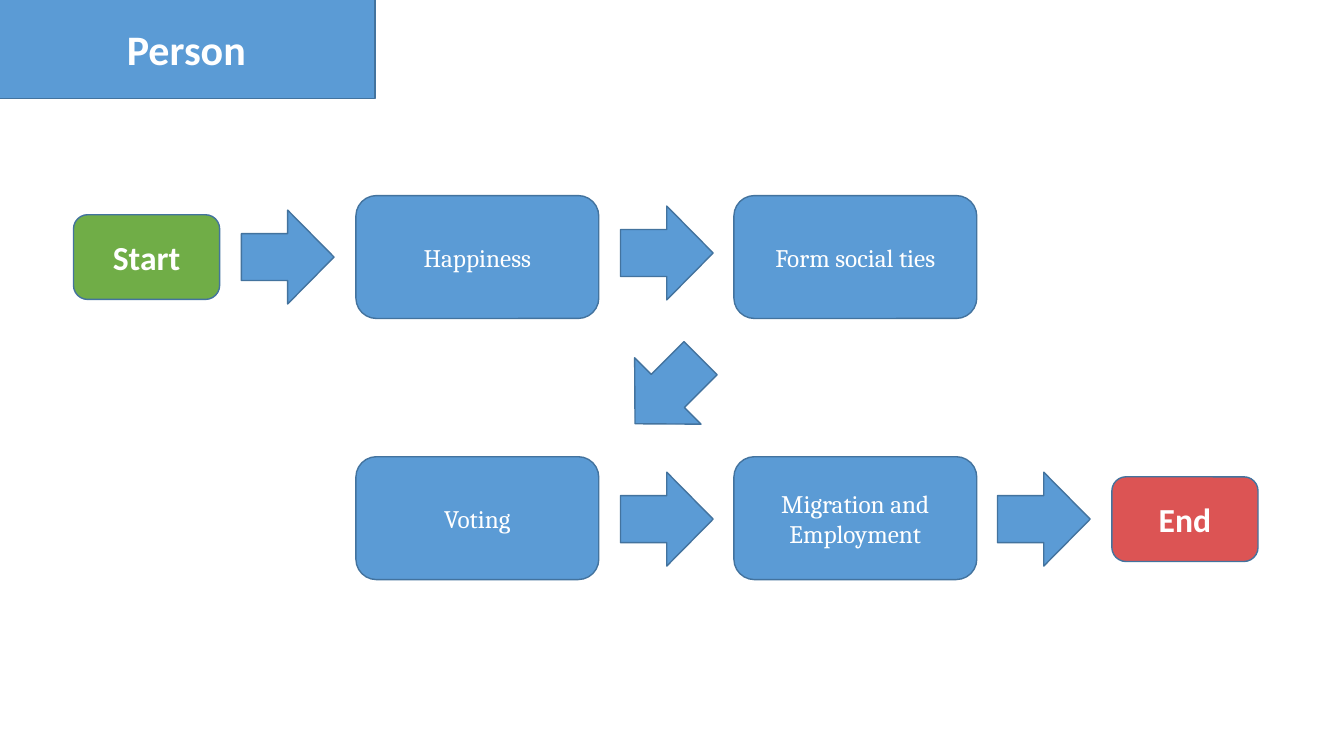
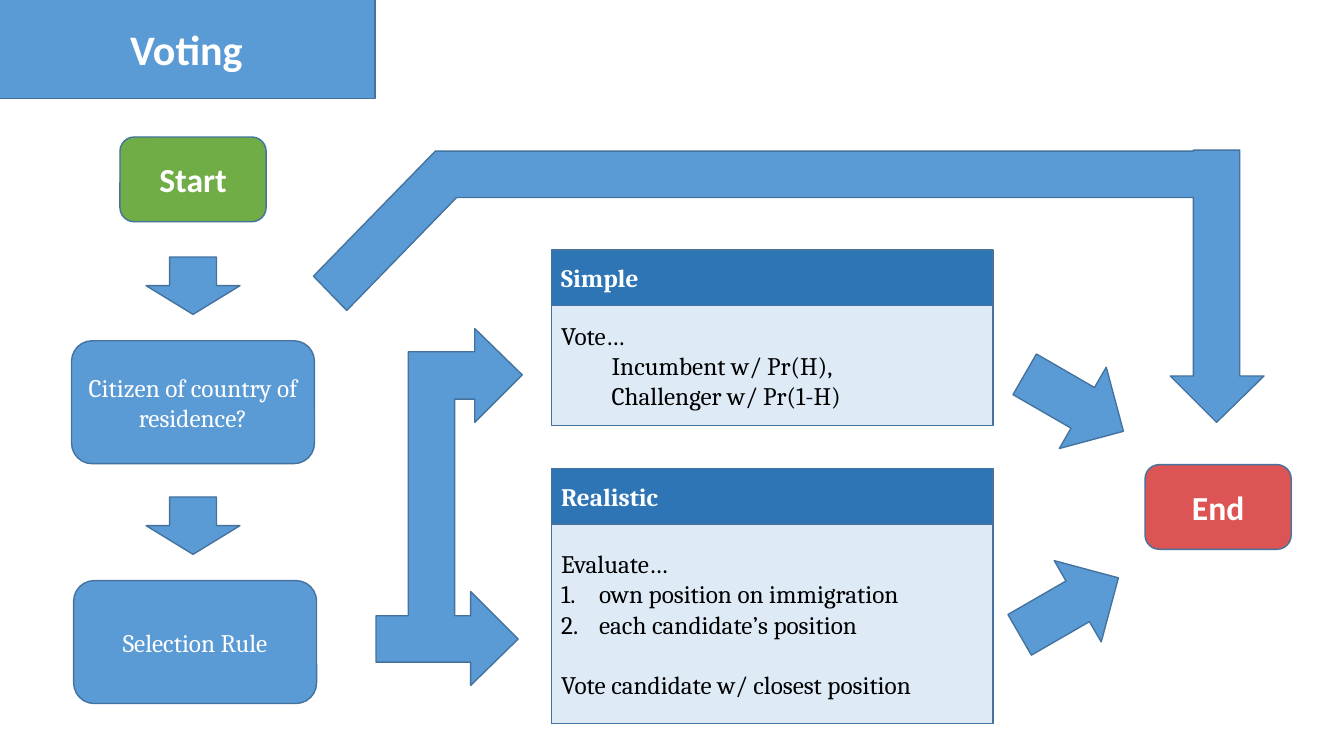
from dataclasses import dataclass

from lxml.etree import SubElement
from pptx import Presentation
from pptx.dml.color import RGBColor
from pptx.enum.shapes import MSO_SHAPE as Geo
from pptx.enum.text import MSO_ANCHOR as Anchor, PP_ALIGN as Align
from pptx.oxml.ns import qn
from pptx.util import Pt

# Shared colours, text formats and sizes (points)
BLUE, EDGE, GREEN, RED = "5B9BD5", "43739E", "70AD47", "DC5454"
HEAD, PALE, WHITE, BLACK = "2E75B6", "DEEBF7", "FFFFFF", "000000"

TITLE_FONT = {"name": "Calibri", "size": Pt(30), "bold": True}
END_FONT = {"name": "Calibri", "size": Pt(24), "bold": True}
BODY_FONT = {"name": "Cambria", "size": Pt(18), "bold": False}
HEAD_FONT = BODY_FONT | {"bold": True}

STEP_W, STEP_H = 173.5, 87.8
END_W, END_H = 104.4, 60.5
ARROW_W, ARROW_H = 67, 66.2
PANEL_X, PANEL_W, PANEL_HEAD_H = 393.8, 315.4, 39.6
LIST_INDENT, LINE_H = 27, 21.6


@dataclass
class Para:
    text: str
    level: int = 0
    left: float = 0
    numbered: bool = False
    before: float = 0


@dataclass
class Box:
    x: float
    y: float
    w: float
    h: float
    paras: list[Para]
    font: dict
    fill: str = BLUE
    color: str = WHITE
    geo: Geo = Geo.ROUNDED_RECTANGLE
    align: Align = Align.CENTER


@dataclass
class Arrow:
    x: float
    y: float
    h: float = ARROW_H
    turn: float = 0


@dataclass
class Panel:
    y: float
    body_h: float
    title: str
    paras: list[Para]


# Drawing functions
def rgb(value: str) -> RGBColor:
    return RGBColor.from_string(value)


def style(s, fill: str = BLUE) -> None:
    s.shadow.inherit = False
    s.fill.solid()
    s.fill.fore_color.rgb = rgb(fill)
    s.line.color.rgb = rgb(EDGE)
    s.line.width = Pt(1)


def set_para(p, para: Para, box: Box) -> None:
    p.alignment, p.level = box.align, para.level
    p.space_before = Pt(para.before)
    pPr = p._p.get_or_add_pPr()
    pPr.set("marL", str(Pt(para.left)))
    pPr.set("indent", str(Pt(-para.left if para.numbered else 0)))
    if para.numbered:
        SubElement(pPr, qn("a:buFont"), typeface="+mj-lt")
        SubElement(pPr, qn("a:buAutoNum"), type="arabicPeriod")
    r = p.add_run()
    r.text = para.text
    for name, value in box.font.items():
        setattr(r.font, name, value)
    r.font.color.rgb = rgb(box.color)


def draw_box(shapes, box: Box) -> None:
    s = shapes.add_shape(box.geo, Pt(box.x), Pt(box.y), Pt(box.w), Pt(box.h))
    style(s, box.fill)
    tf = s.text_frame
    tf.word_wrap, tf.vertical_anchor = True, Anchor.MIDDLE
    for i, para in enumerate(box.paras):
        set_para(tf.add_paragraph() if i else tf.paragraphs[0], para, box)


def draw_arrow(shapes, arrow: Arrow) -> None:
    s = shapes.add_shape(Geo.DOWN_ARROW, Pt(arrow.x), Pt(arrow.y),
                         Pt(ARROW_W), Pt(arrow.h))
    style(s)
    s.rotation = arrow.turn


def draw_panel(shapes, panel: Panel) -> None:
    group = shapes.add_group_shape().shapes
    shared = {"geo": Geo.RECTANGLE, "align": Align.LEFT}
    draw_box(group, Box(PANEL_X, panel.y + PANEL_HEAD_H, PANEL_W, panel.body_h,
                        panel.paras, BODY_FONT, PALE, BLACK, **shared))
    draw_box(group, Box(PANEL_X, panel.y, PANEL_W, PANEL_HEAD_H,
                        [Para(panel.title)], HEAD_FONT, HEAD, **shared))


def draw_outline(shapes, points: list[tuple[float, float]]) -> None:
    (x, y), *rest = [(Pt(px), Pt(py)) for px, py in points]
    builder = shapes.build_freeform(x, y)
    builder.add_line_segments(rest, close=True)
    style(builder.convert_to_shape())


def step(x: float, y: float, text: str) -> Box:
    return Box(x, y, STEP_W, STEP_H, [Para(text)], BODY_FONT)


def terminal(x: float, y: float, text: str, fill: str) -> Box:
    return Box(x, y, END_W, END_H, [Para(text)], END_FONT, fill)


def add_slide(prs, title: str, start: tuple[float, float],
              end: tuple[float, float]):
    shapes = prs.slides.add_slide(prs.slide_layouts[6]).shapes
    draw_box(shapes, terminal(*start, "Start", GREEN))
    draw_box(shapes, terminal(*end, "End", RED))
    draw_box(shapes, Box(-1.5, -1.5, 269.3, 72, [Para(title)], TITLE_FONT,
                         geo=Geo.RECTANGLE))
    return shapes


prs = Presentation()
prs.slide_width, prs.slide_height = Pt(960), Pt(540)

# Slide 1: Person
shapes = add_slide(prs, "Person", (52.5, 153.4), (794.2, 340.6))
COLS, ROWS = (254.2, 524.2), (139.7, 326.2)
LABELS = (("Happiness", "Form social ties"),
          ("Voting", "Migration and Employment"))
for y, labels in zip(ROWS, LABELS):
    for x, label in zip(COLS, labels):
        draw_box(shapes, step(x, y, label))
for arrow in (Arrow(172, 150.5, turn=270), Arrow(442.8, 147.6, turn=270),
              Arrow(443.5, 246.2, turn=45), Arrow(442.8, 337.7, turn=270),
              Arrow(712.1, 337.7, turn=270)):
    draw_arrow(shapes, arrow)

# Slide 2: Voting
shapes = add_slide(prs, "Voting", (85.7, 97.9), (817.9, 331.9))
for panel in (
    Panel(178.6, 85.7, "Simple", [
        Para("Vote…"),
        Para("Incumbent w/ Pr(H),", 1, 36),
        Para("Challenger w/ Pr(1-H)", 1, 36)]),
    Panel(334.8, 142.6, "Realistic", [
        Para("Evaluate…"),
        Para("own position on immigration", 0, LIST_INDENT, True),
        Para("each candidate’s position", 0, LIST_INDENT, True),
        Para("Vote candidate w/ closest position", before=LINE_H)]),
):
    draw_panel(shapes, panel)
for arrow in (Arrow(104.4, 183.6, 41), Arrow(104.4, 355, 41),
              Arrow(730.1, 392.4, 81.4, 240), Arrow(733.7, 247, 81.4, 300)):
    draw_arrow(shapes, arrow)

# Fork from the selection rule to both panels, and bypass to the end
FORK = [(339.1, 234.7), (373, 267.8), (339.1, 301.7), (339.1, 285.1),
        (324.7, 285.1), (324.7, 439.9), (336.2, 439.9), (336.2, 422.6),
        (370.1, 456.5), (336.2, 489.6), (336.2, 473), (268.6, 473),
        (268.6, 439.9), (291.6, 439.9), (291.6, 251.3), (339.1, 251.3)]
BYPASS = [(852.5, 107.3), (885.6, 107.3), (885.6, 268.6), (902.9, 268.6),
          (869, 301.7), (835.9, 268.6), (852.5, 268.6), (852.5, 141.1),
          (326.2, 141.1), (247.7, 221.8), (223.9, 197.3), (311, 108),
          (852.5, 108)]
for outline in (FORK, BYPASS):
    draw_outline(shapes, outline)

draw_box(shapes, step(51.1, 243.4, "Citizen of country of residence?"))
draw_box(shapes, step(52.6, 414.7, "Selection Rule"))

prs.save("out.pptx")
